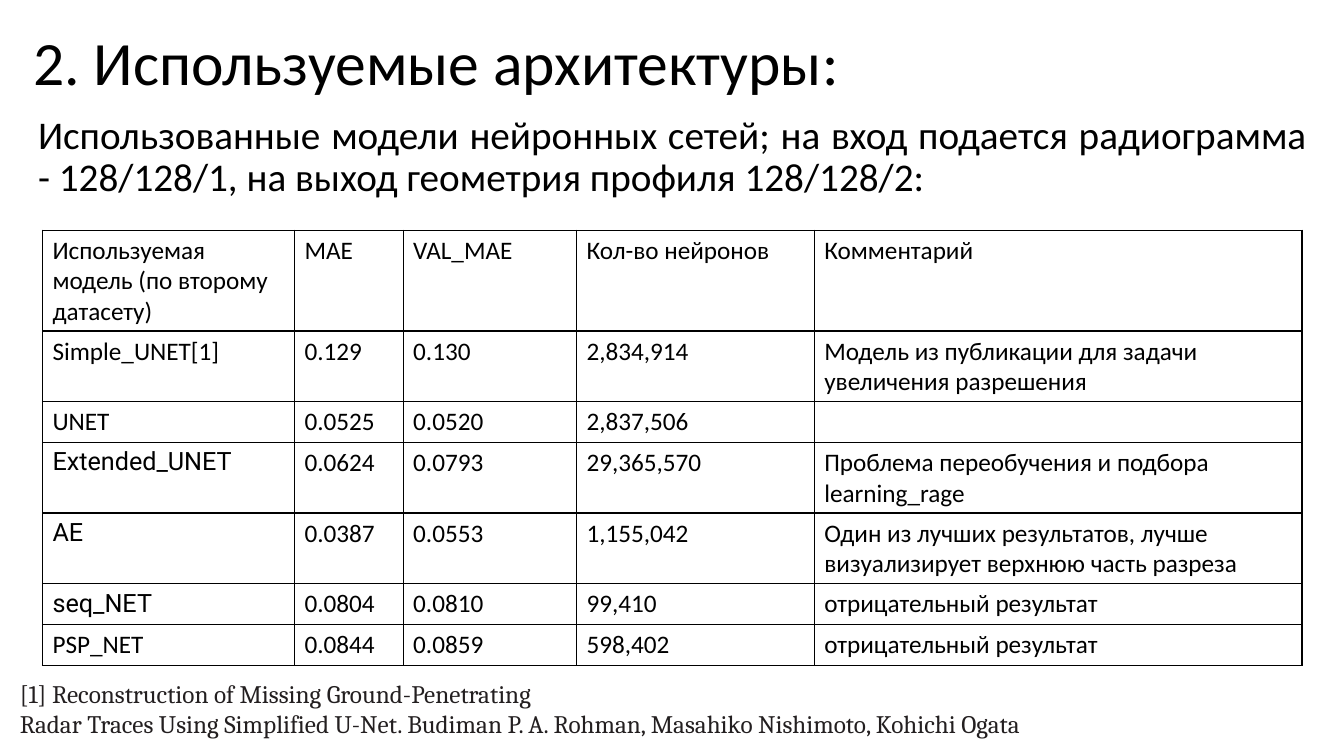
from typing import NamedTuple

from lxml import etree
from pptx import Presentation
from pptx import util as u
from pptx.dml.color import RGBColor
from pptx.enum import text
from pptx.oxml import ns

BLACK = RGBColor(0x00, 0x00, 0x00)
CITATION_GREY = RGBColor(0x23, 0x1F, 0x20)
BODY_FONT = "Calibri"
BORDER_SIDES = ("lnL", "lnR", "lnT", "lnB")


class Box(NamedTuple):
    left: float
    top: float
    width: float
    height: float

    def lengths(self) -> list[u.Cm]:
        return [u.Cm(value) for value in self]


class Model(NamedTuple):
    name: str
    mae: str
    val_mae: str
    neurons: str
    comment: str = ""
    name_font: str = BODY_FONT


HEADINGS = Model("Используемая модель (по второму датасету)", "MAE", "VAL_MAE",
                 "Кол-во нейронов", "Комментарий")
MODELS = [
    Model("Simple_UNET[1]", "0.129", "0.130", "2,834,914",
          "Модель из публикации для задачи увеличения разрешения"),
    Model("UNET", "0.0525", "0.0520", "2,837,506"),
    Model("Extended_UNET", "0.0624", "0.0793", "29,365,570",
          "Проблема переобучения и подбора learning_rage", "Roboto"),
    Model("AE", "0.0387", "0.0553", "1,155,042",
          "Один из лучших результатов, лучше визуализирует верхнюю часть разреза", "Roboto"),
    Model("seq_NET", "0.0804", "0.0810", "99,410", "отрицательный результат", "Roboto"),
    Model("PSP_NET", "0.0844", "0.0859", "598,402", "отрицательный результат"),
]
COLUMN_WIDTHS = (6.35, 2.74, 4.37, 5.99, 12.29)
ROW_HEIGHT = 1.03


def style(paragraph, size: float, font: str = BODY_FONT, color: RGBColor = BLACK) -> None:
    paragraph.font.size = u.Pt(size)
    paragraph.font.name = font
    paragraph.font.color.rgb = color


def add_text(slide, box: Box, lines: list[str], size: float,
             font: str = BODY_FONT, color: RGBColor = BLACK):
    frame = slide.shapes.add_textbox(*box.lengths()).text_frame
    frame.word_wrap = True
    frame.text = "\n".join(lines)
    for paragraph in frame.paragraphs:
        style(paragraph, size, font, color)
    return frame


def add_borders(cell) -> None:
    properties = cell._tc.get_or_add_tcPr()
    for side in BORDER_SIDES:
        line = etree.SubElement(properties, ns.qn(f"a:{side}"), w=str(u.Pt(1)))
        fill = etree.SubElement(line, ns.qn("a:solidFill"))
        etree.SubElement(fill, ns.qn("a:srgbClr"), val=str(BLACK))


def add_model_table(slide, box: Box, rows: list[Model]) -> None:
    table = slide.shapes.add_table(len(rows), len(COLUMN_WIDTHS), *box.lengths()).table
    table.first_row = table.horz_banding = False
    for column, width in zip(table.columns, COLUMN_WIDTHS):
        column.width = u.Cm(width)
    for row, model in zip(table.rows, rows):
        row.height = u.Cm(ROW_HEIGHT)
        values = model[:len(COLUMN_WIDTHS)]
        fonts = [model.name_font] + [BODY_FONT] * (len(values) - 1)
        for cell, value, font in zip(row.cells, values, fonts):
            cell.text = value
            style(cell.text_frame.paragraphs[0], 18, font)
            add_borders(cell)
            cell.fill.background()


def main() -> None:
    presentation = Presentation()
    presentation.slide_width, presentation.slide_height = u.Cm(33.87), u.Cm(19.05)
    slide = presentation.slides.add_slide(presentation.slide_layouts[5])

    # Title
    title = slide.shapes.title
    title.left, title.top, title.width, title.height = Box(0.58, -0.2, 29.21, 3.68).lengths()
    title.text_frame.text = "2. Используемые архитектуры:"
    title.text_frame.vertical_anchor = text.MSO_ANCHOR.MIDDLE
    heading = title.text_frame.paragraphs[0]
    heading.alignment = text.PP_ALIGN.LEFT
    heading.line_spacing = 0.9
    style(heading, 44)

    # Input and output of the networks
    intro = add_text(slide, Box(0.71, 2.79, 32.46, 3),
                     ["Использованные модели нейронных сетей; на вход подается радиограмма "
                      "- 128/128/1, на выход геометрия профиля 128/128/2:"], 28).paragraphs[0]
    intro.alignment = text.PP_ALIGN.JUSTIFY
    intro.line_spacing = 0.9

    # Model comparison
    rows = [HEADINGS, *MODELS]
    add_model_table(slide, Box(1.07, 5.8, sum(COLUMN_WIDTHS), ROW_HEIGHT * len(rows)), rows)

    # Citation
    add_text(slide, Box(0.25, 16.97, 32.11, 1.8),
             ["[1] Reconstruction of Missing Ground-Penetrating",
              "Radar Traces Using Simplified U-Net. Budiman P. A. Rohman, "
              "Masahiko Nishimoto, Kohichi Ogata"], 18, "Cambria", CITATION_GREY)

    presentation.save("out.pptx")


if __name__ == "__main__":
    main()
